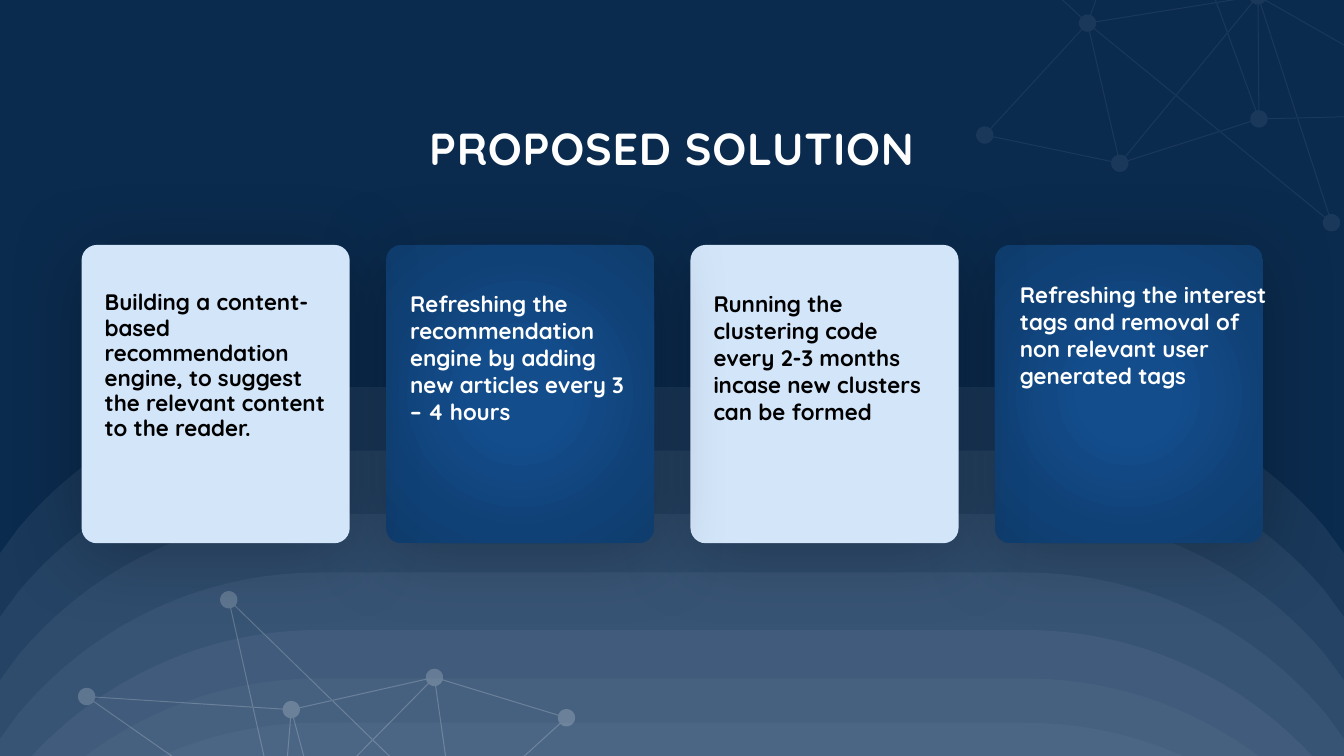
from dataclasses import dataclass
from math import cos, hypot, pi, sin

from lxml.etree import SubElement as Sub
from pptx import Presentation
from pptx.dml.color import RGBColor as Rgb
from pptx.enum.shapes import MSO_SHAPE as Kind
from pptx.enum.text import MSO_AUTO_SIZE as Fit, PP_ALIGN as Align
from pptx.oxml.ns import qn
from pptx.util import Inches, Pt


@dataclass(frozen=True)
class Theme:
    """Colours, font and type sizes."""
    back: str = "0B2B4E"
    band: str = "6E85A3"
    light: str = "D3E5F9"
    white: str = "FFFFFF"
    black: str = "000000"
    glow: tuple = ((0, "134D8C"), (23, "134D8C"), (69, "104176"), (97, "0F3D6E"))
    font: str = "Quicksand"
    head: int = 32
    body: int = 16


THEME = Theme()
COLS, ROWS = 133.33, 75
BANDS = (38.4, 44.7, 51, 56.8, 62.5, 67.3, 71.7)
EDGES = "ab bc cd bd de bf eh ei bh ih hg hf eg dh ai ah bi".split()
TOP_NET = dict(a=(92.9, -11.6), b=(107.9, 2.3), c=(97.7, 13.4),
               d=(111.1, 16.2), e=(124.9, 11.8), f=(132.1, 22.1),
               g=(145.3, 11.3), h=(124.8, -0.4), i=(114.6, -16.4))
LOW_NET = dict(a=(58.8, 96.6), b=(45.1, 81.3), c=(56.2, 71.2),
               d=(43.1, 67.2), e=(28.9, 70.4), f=(22.7, 59.5),
               g=(8.6, 69.1), h=(27.9, 82.6), i=(36.7, 99.5))
DOT, HAIR = 0.86, 0.05
CARD_X, CARD_Y, STEP = 8.1, 24.3, 30.2
CARD_W, CARD_H = 26.6, 29.6
CARDS = (
    ("Building a content-based recommendation engine, to suggest the relevant "
     "content to the reader.", 1.3, 4, 24.1, 16.2),
    ("Refreshing the recommendation engine by adding new articles every "
     "3 – 4 hours", 1.4, 4, 24.1, 14.5),
    ("Running the clustering code every 2-3 months incase new clusters can "
     "be formed", 1.3, 4, 24.1, 14.5),
    ("Refreshing the interest tags and removal of non relevant user "
     "generated tags", 1.5, 3.1, 26.6, 11.8),
)


def cell(num):
    """Turn grid cells into a length."""
    return Inches(num / 10)


def paint(shape, hue, alpha=100):
    """Give a shape a flat fill and no line."""
    shape.shadow.inherit = False
    shape.line.fill.background()
    shape.fill.solid()
    shape.fill.fore_color.rgb = Rgb.from_string(hue)
    if alpha < 100:
        tint = shape._element.spPr.find(".//" + qn("a:srgbClr"))
        Sub(tint, qn("a:alpha"), val=str(alpha * 1000))


def outline(slide, loops, hue, alpha):
    """Draw closed loops of grid points as one shape."""
    loops = [[(cell(x), cell(y)) for x, y in loop] for loop in loops]
    pen = slide.shapes.build_freeform(*loops[0][0])
    pen.add_line_segments(loops[0][1:], close=True)
    for loop in loops[1:]:
        pen.move_to(*loop[0])
        pen.add_line_segments(loop[1:], close=True)
    paint(pen.convert_to_shape(), hue, alpha)


def bend(ends, steps=20):
    """Sample a cubic curve."""
    points = []
    for step in range(steps + 1):
        t = step / steps
        parts = ((1 - t) ** 3, 3 * t * (1 - t) ** 2, 3 * t * t * (1 - t), t ** 3)
        points.append(tuple(sum(k * p[ax] for k, p in zip(parts, ends))
                            for ax in (0, 1)))
    return points


def band(slide, top):
    """Draw one rounded hill across the slide."""
    side = bend(((101.7, 0), (113.7, 0), (124.4, 5.5), (131.5, 14)))
    side += [(COLS, 16.5), (COLS, 36.6)]
    loop = side + [(COLS - x, y) for x, y in reversed(side)]
    outline(slide, [[(x, y + top) for x, y in loop]], THEME.band, 15)


def disc(mid, count=24):
    """List the points round a node."""
    turns = [2 * pi * n / count for n in range(count)]
    return [(mid[0] + DOT * cos(t), mid[1] + DOT * sin(t)) for t in turns]


def link(one, two):
    """List the corners of a hairline between two nodes."""
    size = hypot(two[0] - one[0], two[1] - one[1])
    dx, dy = (two[0] - one[0]) / size, (two[1] - one[1]) / size
    spots = ((DOT, 1), (size - DOT, 1), (size - DOT, -1), (DOT, -1))
    return [(one[0] + dx * run - dy * HAIR * way,
             one[1] + dy * run + dx * HAIR * way) for run, way in spots]


def net(slide, nodes, hue, alpha):
    """Draw a web of nodes and links."""
    loops = [disc(mid) for mid in nodes.values()]
    loops += [link(nodes[one], nodes[two]) for one, two in EDGES]
    outline(slide, loops, hue, alpha)


def glow(shape):
    """Swap a flat fill for a round gradient."""
    flat = shape._element.spPr.find(qn("a:solidFill"))
    grad = flat.makeelement(qn("a:gradFill"), {"rotWithShape": "1"})
    stops = Sub(grad, qn("a:gsLst"))
    for share, hue in THEME.glow:
        stop = Sub(stops, qn("a:gs"), pos=str(share * 1000))
        Sub(stop, qn("a:srgbClr"), val=hue)
    round_ = Sub(grad, qn("a:path"), path="circle")
    Sub(round_, qn("a:fillToRect"), l="50000", t="50000", r="50000", b="50000")
    flat.getparent().replace(flat, grad)


def shade(shape):
    """Add a soft shadow below a shape."""
    fx = shape._element.spPr.find(qn("a:effectLst"))
    drop = Sub(fx, qn("a:outerShdw"), blurRad=str(Pt(55)), dist=str(Pt(7)),
               dir="5400000", algn="t", rotWithShape="0")
    tint = Sub(drop, qn("a:srgbClr"), val=THEME.black)
    Sub(tint, qn("a:alpha"), val="25000")


def text(slide, words, box, size, hue):
    """Place a bold text box and return it with its run."""
    area = slide.shapes.add_textbox(*map(cell, box))
    frame = area.text_frame
    frame.word_wrap = True
    frame.auto_size = Fit.SHAPE_TO_FIT_TEXT
    run = frame.paragraphs[0].add_run()
    run.text = words
    font = run.font
    font.name, font.size, font.bold = THEME.font, Pt(size), True
    font.color.rgb = Rgb.from_string(hue)
    return frame, run


def title(slide):
    """Place the heading."""
    frame, run = text(slide, "PROPOSED SOLUTION", (39.5, 9.3, 54.3, 7),
                      THEME.head, THEME.white)
    frame.margin_left = frame.margin_right = 0
    frame.margin_top = frame.margin_bottom = 0
    para = frame.paragraphs[0]
    para.alignment, para.line_spacing = Align.CENTER, 1.5
    run.font._element.set("spc", "50")


def card(slide, num):
    """Draw one card, light and dark in turn."""
    words, dx, dy, wide, high = CARDS[num]
    left, dark = CARD_X + num * STEP, num % 2
    shape = slide.shapes.add_shape(
        Kind.ROUNDED_RECTANGLE, *map(cell, (left, CARD_Y, CARD_W, CARD_H)))
    shape.adjustments[0] = 0.057
    paint(shape, THEME.light)
    shade(shape)
    if dark:
        glow(shape)
    frame, _ = text(slide, words, (left + dx, CARD_Y + dy, wide, high),
                    THEME.body, THEME.white if dark else THEME.black)
    if num == 0:
        para = frame.paragraphs[0]
        para.line_spacing, para.space_after = Pt(18), Pt(6)


def main():
    """Build and save the slide."""
    deck = Presentation()
    deck.slide_width, deck.slide_height = cell(COLS), cell(ROWS)
    slide = deck.slides.add_slide(deck.slide_layouts[6])
    slide.background.fill.solid()
    slide.background.fill.fore_color.rgb = Rgb.from_string(THEME.back)
    for top in BANDS:
        band(slide, top)
    title(slide)
    net(slide, TOP_NET, THEME.band, 15)
    net(slide, LOW_NET, THEME.white, 20)
    for num in reversed(range(len(CARDS))):
        card(slide, num)
    deck.save("out.pptx")


if __name__ == "__main__":
    main()
